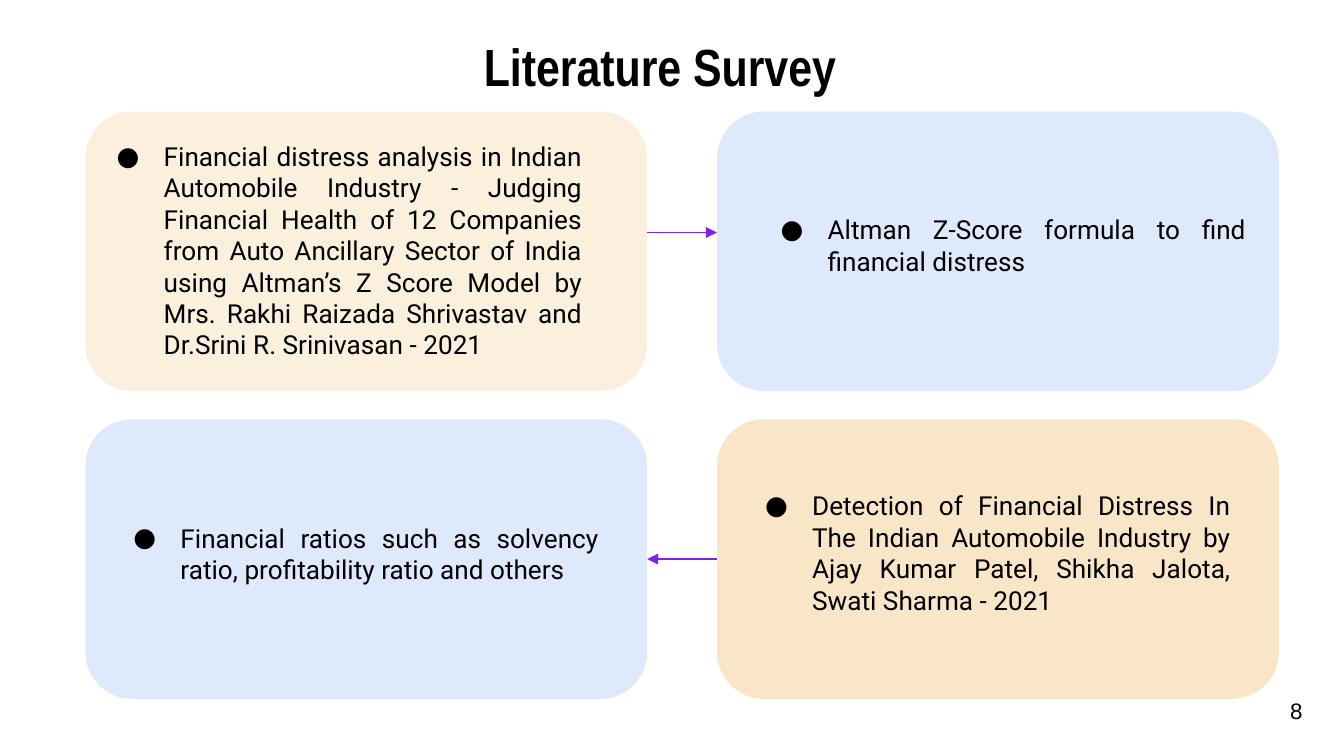
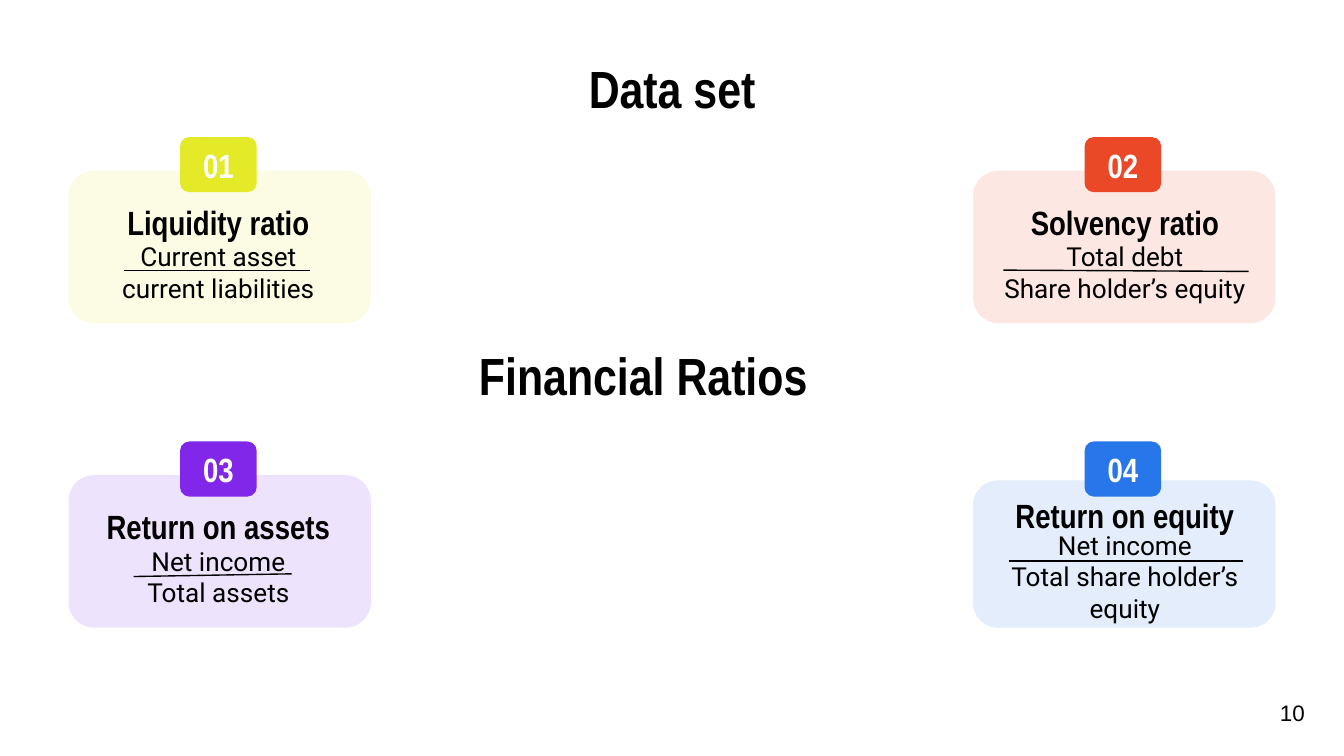
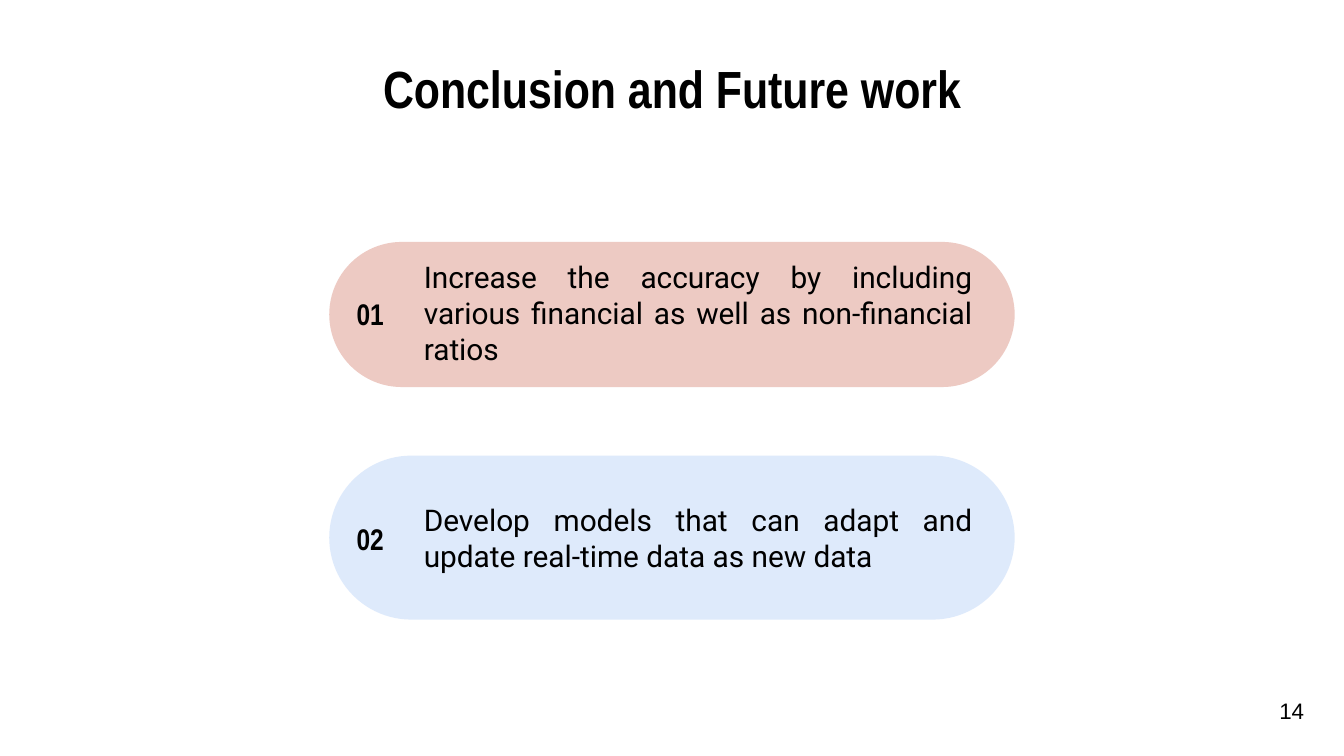
from lxml import etree
from pptx import Presentation
from pptx.dml.color import RGBColor
from pptx.enum.shapes import MSO_CONNECTOR, MSO_SHAPE
from pptx.enum.text import MSO_ANCHOR, MSO_AUTO_SIZE, PP_ALIGN
from pptx.oxml.ns import qn
from pptx.util import Pt

ROUNDED = MSO_SHAPE.ROUNDED_RECTANGLE
STRAIGHT = MSO_CONNECTOR.STRAIGHT
TOP, MIDDLE = MSO_ANCHOR.TOP, MSO_ANCHOR.MIDDLE
LEFT, CENTER, JUSTIFY = PP_ALIGN.LEFT, PP_ALIGN.CENTER, PP_ALIGN.JUSTIFY
NO_AUTOFIT = MSO_AUTO_SIZE.NONE

EMU_PER_PX = 4572
SLIDE_WIDTH, SLIDE_HEIGHT = 2000, 1125
TITLE_ONLY = 5
HEADING_FONT, BODY_FONT, NUMBER_FONT = "Arial Narrow", "Roboto", "Arial"
BLACK, WHITE = "000000", "FFFFFF"
BLUE, CREAM, ORANGE, BRICK = "7DADF2", "F2C37D", "E99B27", "BB2F12"
ARROW_PURPLE = "7D21EA"
HEADING = {"font": HEADING_FONT, "bold": True, "align": CENTER, "anchor": MIDDLE}
TITLE = {**HEADING, "size": 28}

PANELS = [
    ((127, 166), CREAM, (154, 189, 732, 248),
     "Financial distress analysis in Indian Automobile Industry - Judging Financial "
     "Health of 12 Companies from Auto Ancillary Sector of India using Altman’s Z Score "
     "Model by Mrs. Rakhi Raizada Shrivastav and Dr.Srini R. Srinivasan - 2021"),
    ((1067, 166), BLUE, (1142, 298, 732, 152),
     "Altman Z-Score formula to find financial distress"),
    ((127, 624), BLUE, (179, 757, 732, 152),
     "Financial ratios such as solvency ratio, profitability ratio and others"),
    ((1067, 624), ORANGE, (1119, 709, 732, 248),
     "Detection of Financial Distress In The Indian Automobile Industry by "
     "Ajay Kumar Patel, Shikha Jalota, Swati Sharma - 2021"),
]

RATIOS = [
    ("Liquidity ratio", ["Current asset", "current liabilities"], "E4EA27",
     (185, 403, 461, 403)),
    ("Solvency ratio", ["Total debt", "Share holder’s equity"], "EA4827",
     (1493, 402, 1858, 404)),
    ("Return on assets", ["Net income", "Total assets"], "8027EA",
     (199, 858, 434, 854)),
    ("Return on equity", ["Net income", "Total share holder’s equity"], "2776EA",
     (1501, 835, 1850, 835)),
]

CONCLUSIONS = [
    (360, 216, 431, BRICK,
     "Increase the accuracy by including various financial as well as non-financial ratios"),
    (678, 244, 766, BLUE,
     "Develop models that can adapt and update real-time data as new data"),
]


def px(length):
    return length * EMU_PER_PX


def box(*lengths):
    return [px(length) for length in lengths]


def rgb(color):
    return RGBColor.from_string(color)


def add_bullet(paragraph, color, font):
    properties = paragraph._p.get_or_add_pPr()
    properties.set("marL", str(px(70)))
    properties.set("indent", str(-px(70)))
    bullet_color = etree.SubElement(properties, qn("a:buClr"))
    etree.SubElement(bullet_color, qn("a:srgbClr"), val=color)
    etree.SubElement(properties, qn("a:buFont"), typeface=font)
    etree.SubElement(properties, qn("a:buChar"), char="●")


def write_text(shape, lines, size=14, font=BODY_FONT, color=BLACK, bold=False,
               align=LEFT, anchor=TOP, wrap=True, margins=(20, 20), bullet=False):
    frame = shape.text_frame
    frame.auto_size = NO_AUTOFIT
    frame.word_wrap = wrap
    frame.vertical_anchor = anchor
    frame.margin_left = frame.margin_right = px(margins[0])
    frame.margin_top = frame.margin_bottom = px(margins[1])
    frame.text = "\n".join(lines)
    for paragraph in frame.paragraphs:
        paragraph.alignment = align
        if bullet:
            add_bullet(paragraph, color, font)
        for run in paragraph.runs:
            run.font.size = Pt(size)
            run.font.name = font
            run.font.bold = bold
            run.font.color.rgb = rgb(color)


def add_text(slide, bounds, lines, **text_format):
    write_text(slide.shapes.add_textbox(*box(*bounds)), lines, **text_format)


def add_rounded(slide, bounds, color, opacity=100, corner=0.167):
    shape = slide.shapes.add_shape(ROUNDED, *box(*bounds))
    shape.adjustments[0] = corner
    shape.shadow.inherit = False
    shape.line.fill.background()
    shape.fill.solid()
    shape.fill.fore_color.rgb = rgb(color)
    if opacity < 100:
        fill_color = shape.element.spPr.find(qn("a:solidFill"))[0]
        etree.SubElement(fill_color, qn("a:alpha"), val=str(opacity * 1000))
    return shape


def add_line(slide, ends, color=BLACK, arrow=False):
    connector = slide.shapes.add_connector(STRAIGHT, *box(*ends))
    connector.line.color.rgb = rgb(color)
    connector.line.width = Pt(0.75)
    properties = connector.element.spPr
    if arrow:
        etree.SubElement(properties.find(qn("a:ln")), qn("a:tailEnd"), type="triangle")
    etree.SubElement(properties, qn("a:effectLst"))


def add_slide(presentation, title, number, number_at, title_at=(100, 90)):
    slide = presentation.slides.add_slide(presentation.slide_layouts[TITLE_ONLY])
    placeholder = slide.shapes.title
    placeholder.left, placeholder.top, placeholder.width, placeholder.height = box(
        *title_at, 1800, 82)
    write_text(placeholder, [title], **TITLE)
    add_text(slide, (*number_at, 38 + 20 * len(number), 60), [number], size=12,
             font=NUMBER_FONT, wrap=False, margins=(20, 10))
    return slide


def add_ratio_card(slide, index, name, fraction, color, rule):
    row, column = divmod(index, 2)
    left, top = 102 + 1346 * column, 254 + 453 * row
    text_left = 100 + 1349 * column
    three_lines = index == 3
    card_drop = 8 if three_lines else 0
    heading_drop = 24 if three_lines else 40
    add_rounded(slide, (left, top + card_drop, 450, 227 - card_drop), color, opacity=13)
    badge = add_rounded(slide, (left + 166, top - 50, 114, 82), color)
    write_text(badge, [f"{index + 1:02}"], size=18, color=WHITE, **HEADING)
    add_text(slide, (text_left, top + heading_drop, 450, 72), [name], size=18, **HEADING)
    add_text(slide, (text_left, top + 115, 450, 72), fraction, align=CENTER,
             anchor=MIDDLE)
    add_line(slide, rule)


def add_conclusion(slide, number, top, height, text_top, color, text):
    add_rounded(slide, (490, top, 1020, height), color, opacity=25, corner=0.5)
    add_text(slide, (611, text_top, 856, 68), [text], size=16, align=JUSTIFY,
             anchor=MIDDLE)
    add_text(slide, (489, text_top + 2, 124, 68), [f"{number:02}"], size=16, **HEADING)


def build_survey(presentation):
    slide = add_slide(presentation, "Literature Survey", "8", (1900, 1027), (82, 57))
    for corner, color, text_bounds, text in PANELS:
        add_rounded(slide, (*corner, 836, 416), color, opacity=25)
        add_text(slide, text_bounds, [text], align=JUSTIFY, bullet=True)
    for ends in ((963, 346, 1067, 346), (1067, 832, 963, 832)):
        add_line(slide, ends, ARROW_PURPLE, arrow=True)


def build_ratios(presentation):
    slide = add_slide(presentation, "Data set", "10", (1885, 1031))
    for index, ratio in enumerate(RATIOS):
        add_ratio_card(slide, index, *ratio)
    add_text(slide, (57, 516, 1800, 82), ["Financial Ratios"], **TITLE)


def build_conclusion(presentation):
    slide = add_slide(presentation, "Conclusion and Future work", "14", (1884, 1028))
    for number, conclusion in enumerate(CONCLUSIONS, start=1):
        add_conclusion(slide, number, *conclusion)


def main():
    presentation = Presentation()
    presentation.slide_width, presentation.slide_height = box(SLIDE_WIDTH, SLIDE_HEIGHT)
    build_survey(presentation)
    build_ratios(presentation)
    build_conclusion(presentation)
    presentation.save("out.pptx")


if __name__ == "__main__":
    main()
